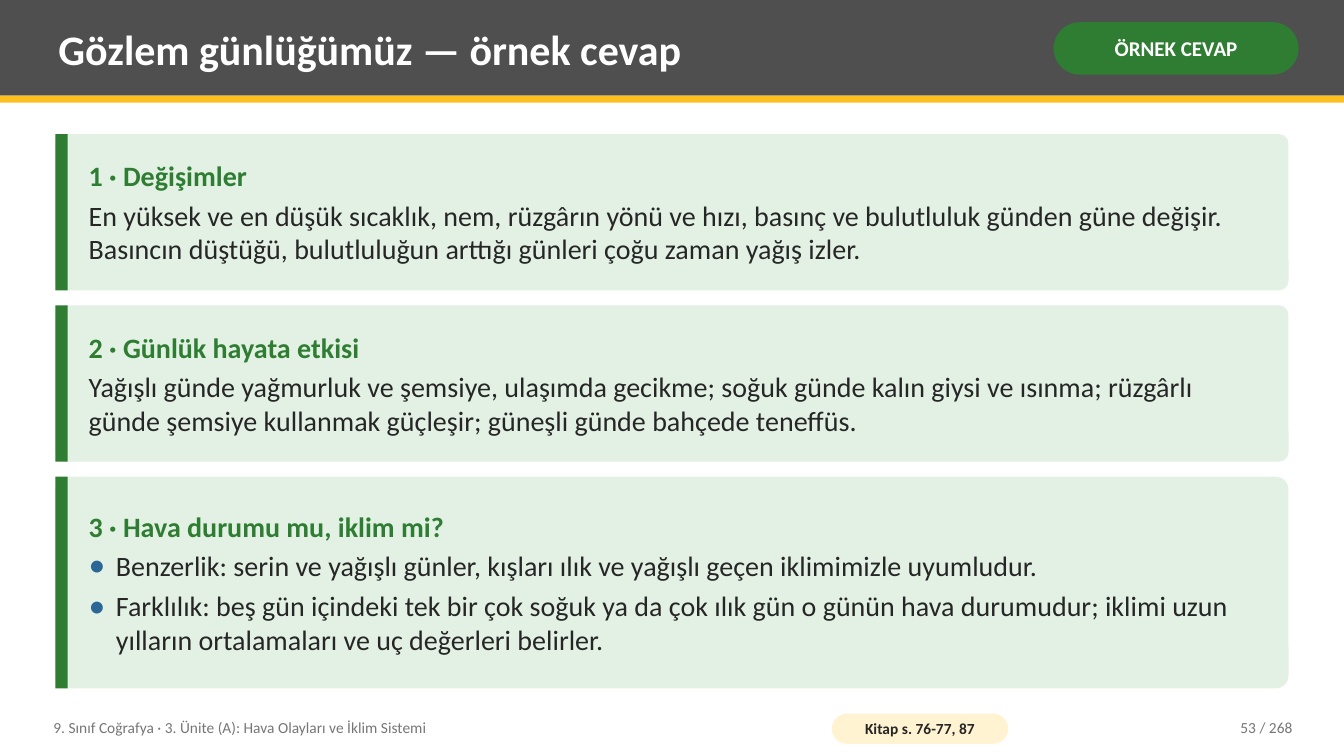
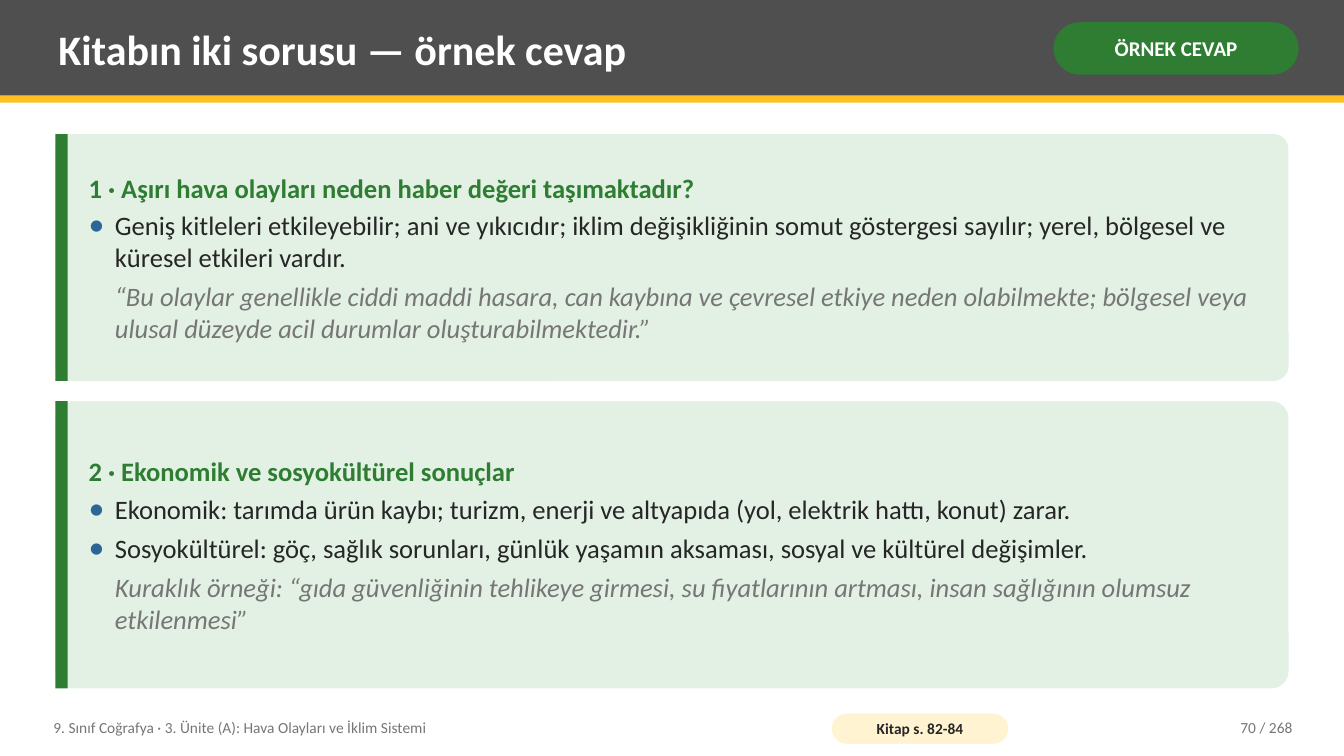
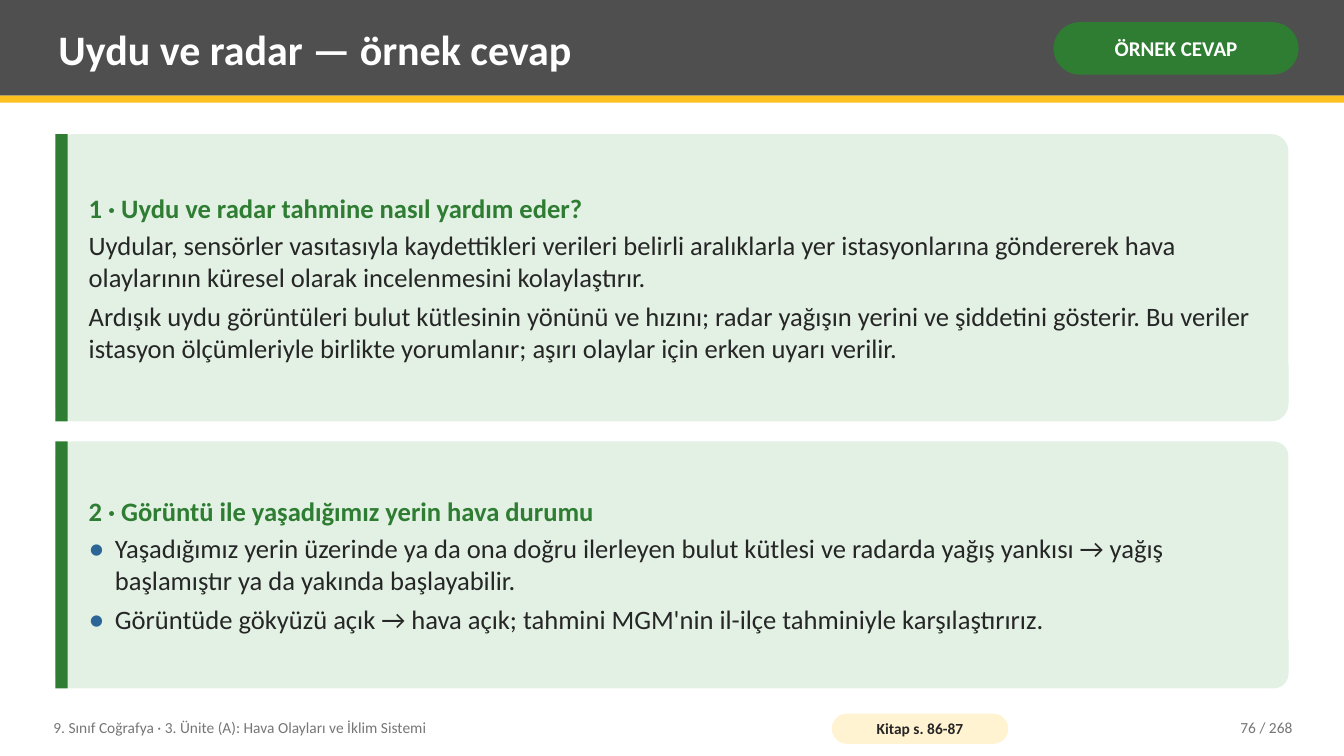
"""Build three sample-answer slides for a geography lesson."""
from lxml.etree import SubElement
from pptx import Presentation
from pptx.dml.color import RGBColor
from pptx.enum.shapes import MSO_SHAPE
from pptx.enum.text import MSO_ANCHOR, MSO_AUTO_SIZE, PP_ALIGN
from pptx.oxml.ns import qn
from pptx.util import Pt

PX = 9144
FONT = "Calibri"
COLORS = {
    "band": "4F4F4F",
    "stripe": "FCC021",
    "green": "2E7D32",
    "card": "E3F1E4",
    "page_tag": "FFF3D1",
    "text": "262626",
    "muted": "767676",
    "bullet": "2C6696",
    "white": "FFFFFF",
}
FOOTER = "9. Sınıf Coğrafya · 3. Ünite (A): Hava Olayları ve İklim Sistemi"
PAGE_TOTAL = 268
CARD_LEFT, CARD_TOP, CARD_WIDTH = 55, 133, 1223

SLIDES = [
    {
        "title": "Gözlem günlüğümüz — örnek cevap",
        "book": "Kitap s. 76-77, 87",
        "number": 53,
        "size": 20,
        "indent": 27,
        "gap": 15,
        "cards": [
            (155, "1 · Değişimler", [
                ("plain", "En yüksek ve en düşük sıcaklık, nem, rüzgârın yönü ve hızı, basınç ve bulutluluk günden güne değişir. Basıncın düştüğü, bulutluluğun arttığı günleri çoğu zaman yağış izler."),
            ]),
            (155, "2 · Günlük hayata etkisi", [
                ("plain", "Yağışlı günde yağmurluk ve şemsiye, ulaşımda gecikme; soğuk günde kalın giysi ve ısınma; rüzgârlı günde şemsiye kullanmak güçleşir; güneşli günde bahçede teneffüs."),
            ]),
            (210, "3 · Hava durumu mu, iklim mi?", [
                ("bullet", "Benzerlik: serin ve yağışlı günler, kışları ılık ve yağışlı geçen iklimimizle uyumludur."),
                ("bullet", "Farklılık: beş gün içindeki tek bir çok soğuk ya da çok ılık gün o günün hava durumudur; iklimi uzun yılların ortalamaları ve uç değerleri belirler."),
            ]),
        ],
    },
    {
        "title": "Kitabın iki sorusu — örnek cevap",
        "book": "Kitap s. 82-84",
        "number": 70,
        "size": 19,
        "indent": 26,
        "gap": 20,
        "cards": [
            (245, "1 · Aşırı hava olayları neden haber değeri taşımaktadır?", [
                ("bullet", "Geniş kitleleri etkileyebilir; ani ve yıkıcıdır; iklim değişikliğinin somut göstergesi sayılır; yerel, bölgesel ve küresel etkileri vardır."),
                ("quote", "“Bu olaylar genellikle ciddi maddi hasara, can kaybına ve çevresel etkiye neden olabilmekte; bölgesel veya ulusal düzeyde acil durumlar oluşturabilmektedir.”"),
            ]),
            (285, "2 · Ekonomik ve sosyokültürel sonuçlar", [
                ("bullet", "Ekonomik: tarımda ürün kaybı; turizm, enerji ve altyapıda (yol, elektrik hattı, konut) zarar."),
                ("bullet", "Sosyokültürel: göç, sağlık sorunları, günlük yaşamın aksaması, sosyal ve kültürel değişimler."),
                ("quote", "Kuraklık örneği: “gıda güvenliğinin tehlikeye girmesi, su fiyatlarının artması, insan sağlığının olumsuz etkilenmesi”"),
            ]),
        ],
    },
    {
        "title": "Uydu ve radar — örnek cevap",
        "book": "Kitap s. 86-87",
        "number": 76,
        "size": 19,
        "indent": 26,
        "gap": 20,
        "cards": [
            (285, "1 · Uydu ve radar tahmine nasıl yardım eder?", [
                ("plain", "Uydular, sensörler vasıtasıyla kaydettikleri verileri belirli aralıklarla yer istasyonlarına göndererek hava olaylarının küresel olarak incelenmesini kolaylaştırır."),
                ("plain", "Ardışık uydu görüntüleri bulut kütlesinin yönünü ve hızını; radar yağışın yerini ve şiddetini gösterir. Bu veriler istasyon ölçümleriyle birlikte yorumlanır; aşırı olaylar için erken uyarı verilir."),
            ]),
            (245, "2 · Görüntü ile yaşadığımız yerin hava durumu", [
                ("bullet", "Yaşadığımız yerin üzerinde ya da ona doğru ilerleyen bulut kütlesi ve radarda yağış yankısı → yağış başlamıştır ya da yakında başlayabilir."),
                ("bullet", "Görüntüde gökyüzü açık → hava açık; tahmini MGM'nin il-ilçe tahminiyle karşılaştırırız."),
            ]),
        ],
    },
]


def add_panel(page, place, color, rounding=None):
    """Add a flat rectangle, rounded when a rounding is given."""
    kind = MSO_SHAPE.RECTANGLE if rounding is None else MSO_SHAPE.ROUNDED_RECTANGLE
    panel = page.shapes.add_shape(kind, *[length * PX for length in place])
    if rounding is not None:
        panel.adjustments[0] = rounding
    panel.shadow.inherit = False
    panel.fill.solid()
    panel.fill.fore_color.rgb = RGBColor.from_string(COLORS[color])
    panel.line.fill.background()
    return panel


def write(box, lines, size, insets=(8, 4), align=PP_ALIGN.LEFT):
    """Fill a box with (text, color, bold, italic) lines and return its paragraphs."""
    frame = box.text_frame
    frame.word_wrap = True
    frame.auto_size = MSO_AUTO_SIZE.NONE
    frame.vertical_anchor = MSO_ANCHOR.MIDDLE
    frame.margin_left = frame.margin_right = insets[0] * PX
    frame.margin_top = frame.margin_bottom = insets[1] * PX
    frame.text = "\n".join(line[0] for line in lines)
    for para, (_, color, bold, italic) in zip(frame.paragraphs, lines):
        para.alignment = align
        for span in para.runs:
            span.font.name = FONT
            span.font.size = Pt(size)
            span.font.bold = bold
            span.font.italic = italic
            span.font.color.rgb = RGBColor.from_string(COLORS[color])
    return frame.paragraphs


deck = Presentation()
deck.slide_width = 1333 * PX
deck.slide_height = 750 * PX

for content in SLIDES:
    page = deck.slides.add_slide(deck.slide_layouts[5])
    title = page.shapes.title
    title.left, title.top, title.width, title.height = [n * PX for n in (50, 7, 975, 82)]
    write(title, [(content["title"], "white", True, False)], 30)
    for place, color in (((0, 0, 1333, 95), "band"), ((0, 95, 1333, 7), "stripe")):
        band = add_panel(page, place, color)
        title.element.addprevious(band.element)

    badge = add_panel(page, (1045, 22, 243, 52), "green", 0.5)
    write(badge, [("ÖRNEK CEVAP", "white", True, False)], 15, (5, 2), PP_ALIGN.CENTER)

    top = CARD_TOP
    for height, heading, body in content["cards"]:
        add_panel(page, (CARD_LEFT, top, CARD_WIDTH, height), "card", 0.06)
        add_panel(page, (CARD_LEFT, top, 12, height), "green")
        box = page.shapes.add_textbox(*[n * PX for n in (80, top + 6, 1188, height - 12)])
        lines = [(heading, "green", True, False)]
        for kind, text in body:
            quoted = kind == "quote"
            lines.append((text, "muted" if quoted else "text", False, quoted))
        paras = write(box, lines, content["size"])
        paras[0].space_after = Pt(4)
        for para in paras[1:-1]:
            para.space_after = Pt(5)
        for para, (kind, _) in zip(paras[1:], body):
            if kind == "plain":
                continue
            indent = content["indent"] * PX
            properties = para._p.get_or_add_pPr()
            properties.set("marL", str(indent))
            properties.set("indent", str(-indent if kind == "bullet" else 0))
            if kind == "bullet":
                bullet_color = SubElement(properties, qn("a:buClr"))
                SubElement(bullet_color, qn("a:srgbClr"), val=COLORS["bullet"])
                SubElement(properties, qn("a:buSzPct"), val="120000")
                SubElement(properties, qn("a:buFont"), typeface=FONT)
                SubElement(properties, qn("a:buChar"), char="•")
        top += height + content["gap"]

    page_count = f"{content['number']} / {PAGE_TOTAL}"
    for left, width, text, align in (
        (45, 760, FOOTER, PP_ALIGN.LEFT),
        (1130, 160, page_count, PP_ALIGN.RIGHT),
    ):
        box = page.shapes.add_textbox(left * PX, 704 * PX, width * PX, 36 * PX)
        write(box, [(text, "muted", False, False)], 11, align=align)
    book_tag = add_panel(page, (825, 708, 175, 30), "page_tag", 0.5)
    write(book_tag, [(content["book"], "text", True, False)], 11, (4, 0), PP_ALIGN.CENTER)

deck.save("out.pptx")
